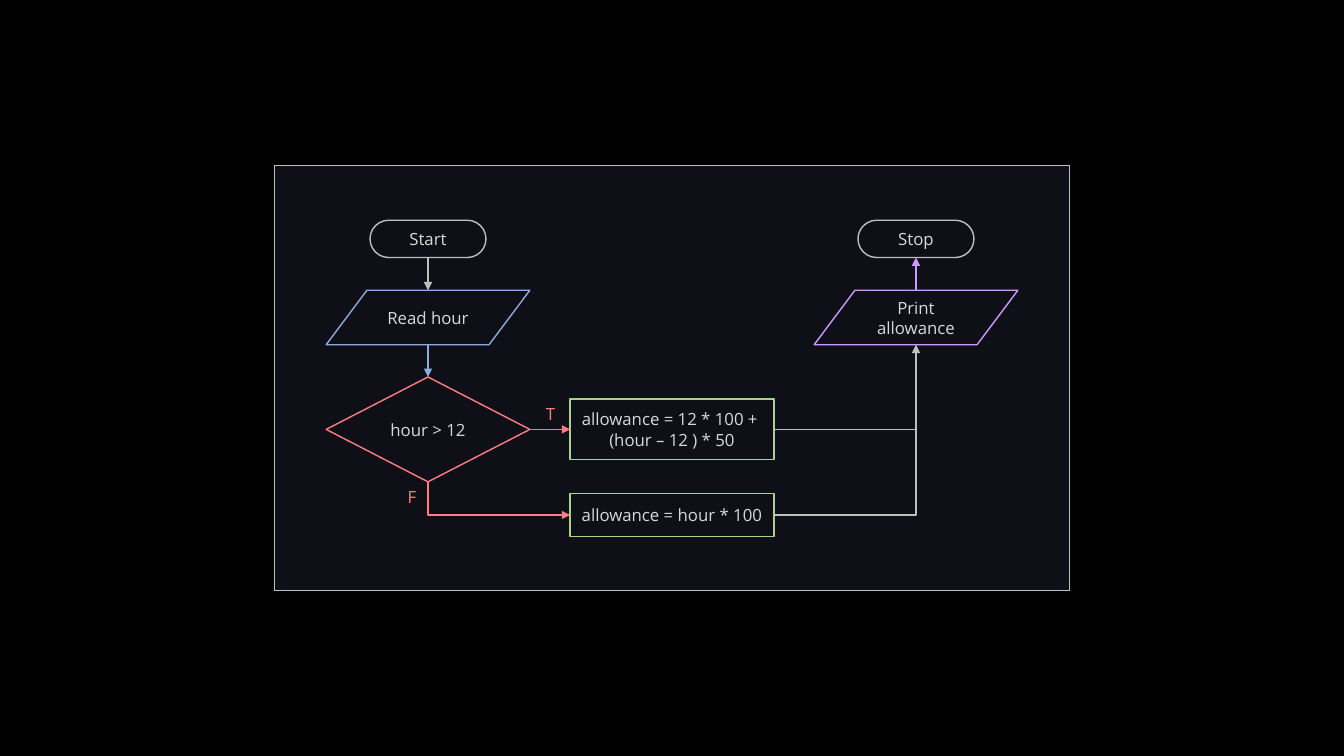
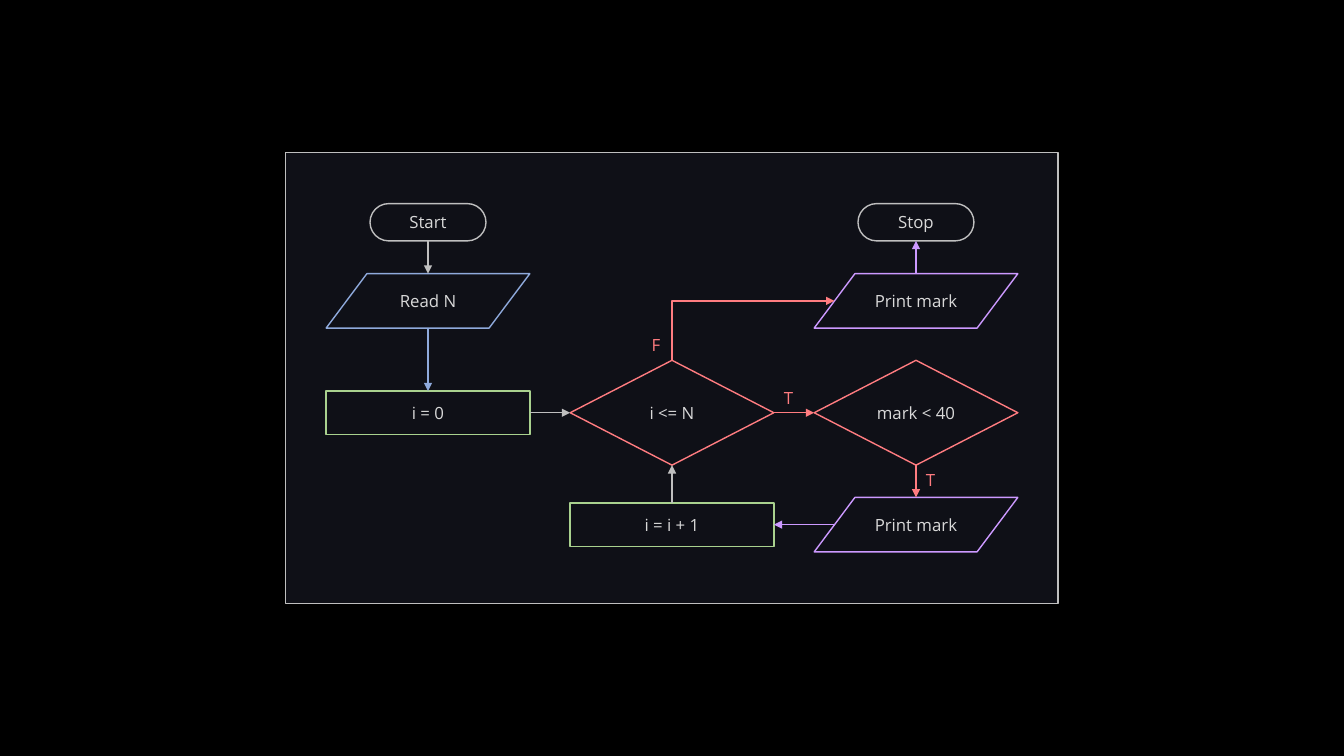
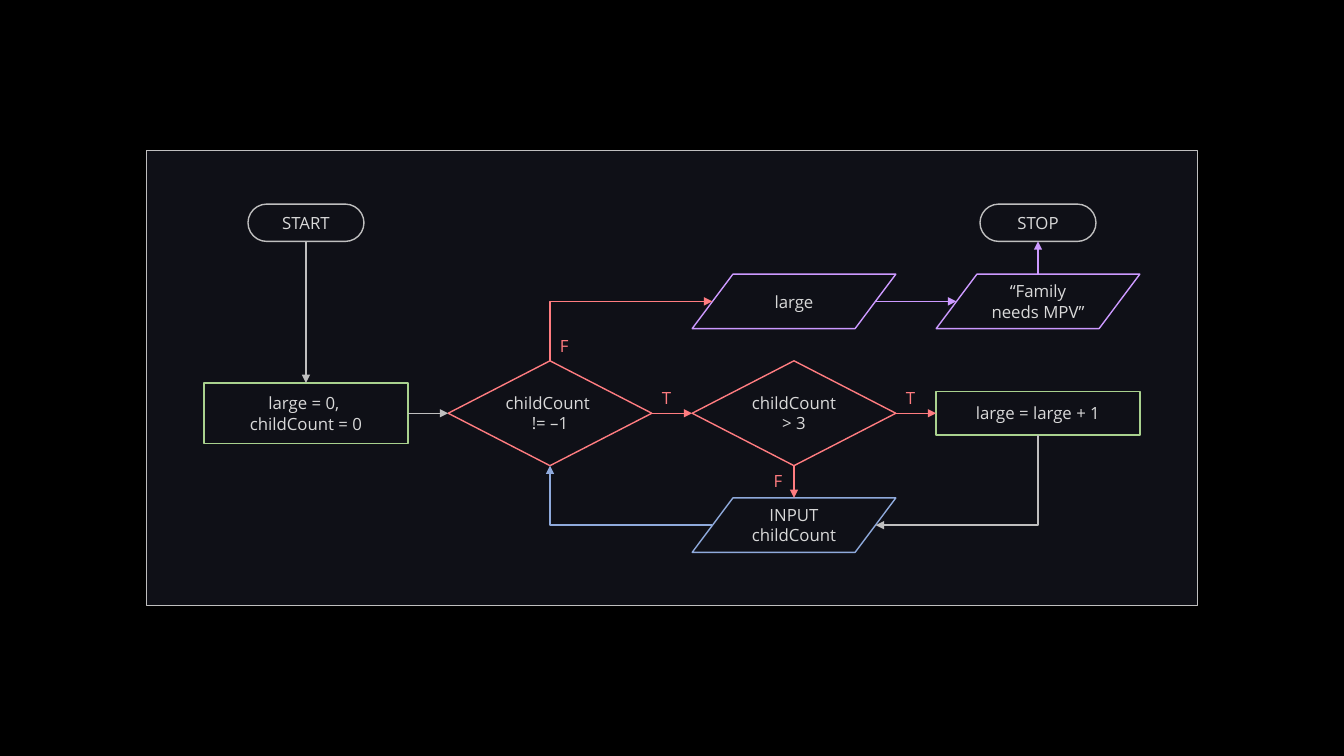
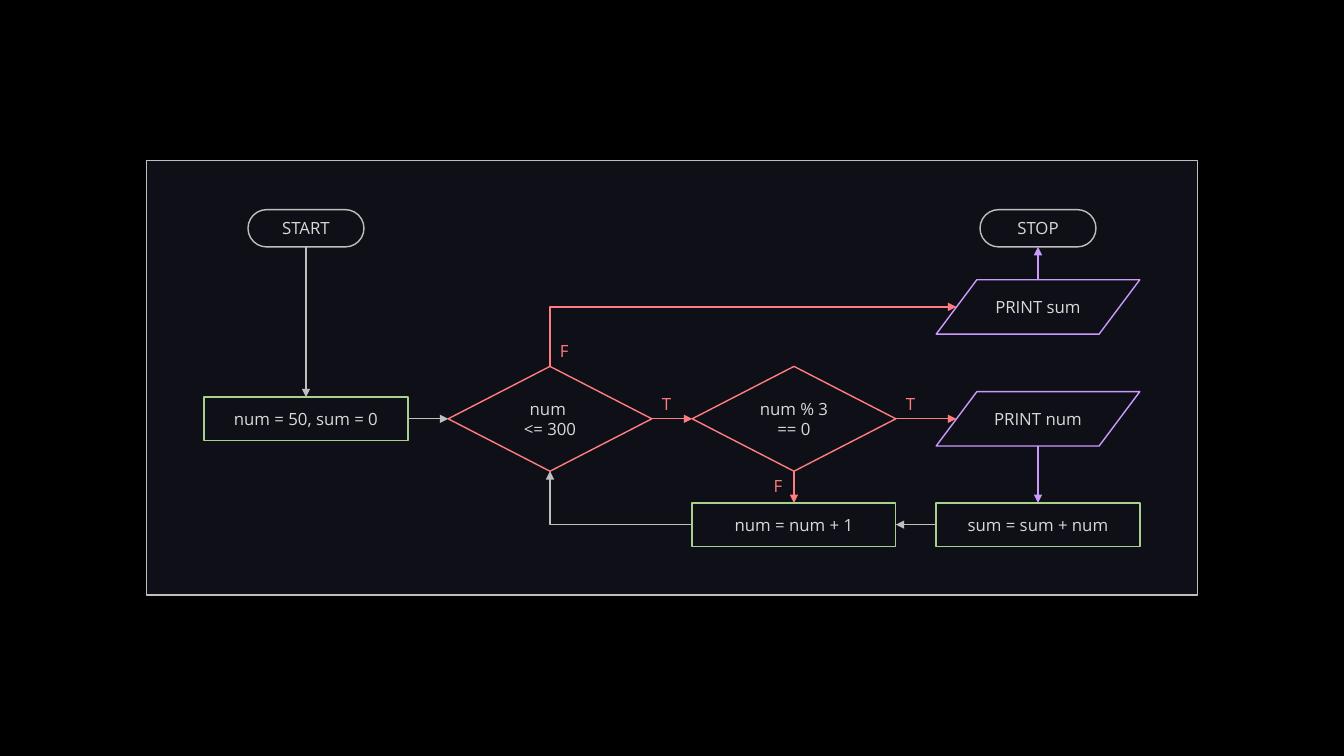
from collections import namedtuple
from dataclasses import dataclass

from lxml import etree
from pptx import Presentation, util as u
from pptx.dml.color import RGBColor
from pptx.enum import shapes, text
from pptx.oxml import ns

BLACK = RGBColor(0x00, 0x00, 0x00)
NAVY = RGBColor(0x0F, 0x10, 0x17)
GREY = RGBColor(0xBF, 0xBF, 0xBF)
PALE = RGBColor(0xD9, 0xD9, 0xD9)
PURPLE = RGBColor(0xCC, 0x99, 0xFF)
BLUE = RGBColor(0x8F, 0xAA, 0xDC)
RED = RGBColor(0xFF, 0x7C, 0x80)
GREEN = RGBColor(0xA9, 0xD1, 0x8E)

SLIDE_W, SLIDE_H = 13.33, 7.5
FONT, FONT_SIZE = "Open Sans", 12
COLUMN_PITCH = 2.42
ROWS = (0, 0.78, 1.89)
LABEL_W, LABEL_H = 0.29, 0.3
QUARTER_TURN = "5400000"

Kind = namedtuple("Kind", "preset width height outline arrow inset")
PRESET = shapes.MSO_SHAPE
TERMINAL = Kind(PRESET.FLOWCHART_TERMINATOR, 1.15, 0.37, GREY, GREY, 0)
INPUT = Kind(PRESET.FLOWCHART_DATA, 2.02, 0.54, BLUE, BLUE, 0.2)
OUTPUT = INPUT._replace(outline=PURPLE, arrow=PURPLE)
PROCESS = Kind(PRESET.RECTANGLE, 2.02, 0.43, GREEN, GREY, 0)
TALL_PROCESS = PROCESS._replace(height=0.6)
DECISION = Kind(PRESET.FLOWCHART_DECISION, 2.02, 1.04, RED, RED, 0)


@dataclass
class Node:
    """One flowchart step, held by its centre."""
    kind: Kind
    x: float
    y: float

    def port(self, side):
        """Return the point where arrows meet the given side."""
        across = self.kind.width / 2 - self.kind.inset
        down = self.kind.height / 2
        dx, dy = {"left": (-across, 0), "right": (across, 0),
                  "top": (0, -down), "bottom": (0, down)}[side]
        return self.x + dx, self.y + dy


def write(frame, words, colour, align):
    """Fill a text frame and format all of its runs."""
    frame.text = words
    for para in frame.paragraphs:
        para.alignment = align
        for span in para.runs:
            span.font.name = FONT
            span.font.size = u.Pt(FONT_SIZE)
            span.font.color.rgb = colour


def add_outlined(page, preset, x, y, width, height, outline, fill=None):
    """Add a thin-lined preset shape centred on a point."""
    shape = page.shapes.add_shape(
        preset, u.Inches(x - width / 2), u.Inches(y - height / 2),
        u.Inches(width), u.Inches(height))
    shape.shadow.inherit = False
    if fill is None:
        shape.fill.background()
    else:
        shape.fill.solid()
        shape.fill.fore_color.rgb = fill
    shape.line.color.rgb = outline
    shape.line.width = u.Pt(1)
    return shape


def add_note(page, left, top, width, height, words, colour, align):
    """Add an unwrapped text box."""
    box = page.shapes.add_textbox(u.Inches(left), u.Inches(top),
                                  u.Inches(width), u.Inches(height))
    box.text_frame.word_wrap = False
    box.text_frame.auto_size = text.MSO_AUTO_SIZE.SHAPE_TO_FIT_TEXT
    write(box.text_frame, words, colour, align)


def add_line(page, start, end, colour, upright=False, arrow=True):
    """Join two points by a straight line or one right-angled bend."""
    (x1, y1), (x2, y2) = start, end
    bent = abs(x1 - x2) > 0.01 and abs(y1 - y2) > 0.01
    turned = bent and upright
    if turned:
        mid_x, mid_y = (x1 + x2) / 2, (y1 + y2) / 2
        half_w, half_h = (y2 - y1) / 2, (x1 - x2) / 2
        x1, x2 = mid_x - half_w, mid_x + half_w
        y1, y2 = mid_y - half_h, mid_y + half_h
    style = shapes.MSO_CONNECTOR.ELBOW if bent else shapes.MSO_CONNECTOR.STRAIGHT
    line = page.shapes.add_connector(
        style, u.Inches(x1), u.Inches(y1), u.Inches(x2), u.Inches(y2))
    line.line.color.rgb = colour
    line.line.width = u.Pt(1)
    props = line._element.spPr
    if bent:
        props.find(ns.qn("a:prstGeom")).set("prst", "bentConnector2")
    if turned:
        props.find(ns.qn("a:xfrm")).set("rot", QUARTER_TURN)
    if arrow:
        etree.SubElement(props.find(ns.qn("a:ln")), ns.qn("a:tailEnd"),
                         type="triangle")
    etree.SubElement(props, ns.qn("a:effectLst"))


class Flowchart:
    """A centred panel whose steps sit on a grid of columns and rows."""

    def __init__(self, deck, columns, width, height, first_row, last_row):
        """Draw the panel and work out the grid centres."""
        self.page = deck.slides.add_slide(deck.slide_layouts[6])
        mid_x, mid_y = SLIDE_W / 2, SLIDE_H / 2
        add_outlined(self.page, PRESET.RECTANGLE, mid_x, mid_y,
                     width, height, GREY, NAVY)
        top = mid_y - height / 2 + first_row
        self.columns = [mid_x + (i - (columns - 1) / 2) * COLUMN_PITCH
                        for i in range(columns)]
        self.rows = [top + offset for offset in (*ROWS, last_row)]

    def step(self, kind, column, row, words, overlay_width=None):
        """Place a step; an overlay carries words too wide for its shape."""
        node = Node(kind, self.columns[column], self.rows[row])
        shape = add_outlined(self.page, kind.preset, node.x, node.y,
                             kind.width, kind.height, kind.outline)
        if overlay_width:
            add_note(self.page, node.x - overlay_width / 2, node.y - 0.25,
                     overlay_width, 0.5, words, PALE, text.PP_ALIGN.CENTER)
        else:
            shape.text_frame.vertical_anchor = text.MSO_ANCHOR.MIDDLE
            write(shape.text_frame, words, PALE, text.PP_ALIGN.CENTER)
        return node

    def link(self, source, side, target, target_side):
        """Draw an arrow between the sides of two steps."""
        add_line(self.page, source.port(side), target.port(target_side),
                 source.kind.arrow, upright=side in ("top", "bottom"))

    def label(self, node, side, words, shift=0):
        """Name the branch that leaves a decision."""
        x, y = node.port(side)
        top = y if side == "bottom" else y - LABEL_H
        add_note(self.page, x + shift, top, LABEL_W, LABEL_H, words, RED,
                 text.PP_ALIGN.LEFT)


def draw_allowance(deck):
    """Draw the allowance flowchart with two branches."""
    chart = Flowchart(deck, 3, 7.89, 4.22, 0.73, 2.74)
    start = chart.step(TERMINAL, 0, 0, "Start")
    stop = chart.step(TERMINAL, 2, 0, "Stop")
    read = chart.step(INPUT, 0, 1, "Read hour")
    show = chart.step(OUTPUT, 2, 1, "Print allowance")
    check = chart.step(DECISION, 0, 2, "hour > 12")
    overtime = chart.step(TALL_PROCESS, 1, 2,
                          "allowance = 12 * 100 + \n(hour – 12 ) * 50")
    regular = chart.step(PROCESS, 1, 3, "allowance = hour * 100")
    chart.link(start, "bottom", read, "top")
    chart.link(read, "bottom", check, "top")
    chart.link(check, "right", overtime, "left")
    chart.link(check, "bottom", regular, "left")
    chart.link(regular, "right", show, "bottom")
    chart.link(show, "top", stop, "bottom")
    add_line(chart.page, overtime.port("right"), (show.x, overtime.y), GREY,
             arrow=False)
    chart.label(check, "right", "T", 0.06)
    chart.label(check, "bottom", "F", -LABEL_H)


def draw_marks(deck):
    """Draw the loop that prints low marks."""
    chart = Flowchart(deck, 3, 7.66, 4.47, 0.69, 3)
    start = chart.step(TERMINAL, 0, 0, "Start")
    stop = chart.step(TERMINAL, 2, 0, "Stop")
    read = chart.step(INPUT, 0, 1, "Read N")
    final = chart.step(OUTPUT, 2, 1, "Print mark")
    reset = chart.step(PROCESS, 0, 2, "i = 0")
    loop = chart.step(DECISION, 1, 2, "i <= N")
    check = chart.step(DECISION, 2, 2, "mark < 40")
    advance = chart.step(PROCESS, 1, 3, "i = i + 1")
    show = chart.step(OUTPUT, 2, 3, "Print mark")
    chart.link(start, "bottom", read, "top")
    chart.link(read, "bottom", reset, "top")
    chart.link(reset, "right", loop, "left")
    chart.link(loop, "right", check, "left")
    chart.link(loop, "top", final, "left")
    chart.link(check, "bottom", show, "top")
    chart.link(show, "left", advance, "right")
    chart.link(advance, "top", loop, "bottom")
    chart.link(final, "top", stop, "bottom")
    chart.label(loop, "right", "T")
    chart.label(loop, "top", "F", -LABEL_H)
    chart.label(check, "bottom", "T")


def draw_families(deck):
    """Draw the loop that counts large families."""
    chart = Flowchart(deck, 4, 10.42, 4.52, 0.72, 3)
    start = chart.step(TERMINAL, 0, 0, "START")
    stop = chart.step(TERMINAL, 3, 0, "STOP")
    total = chart.step(OUTPUT, 2, 1, "large")
    advice = chart.step(OUTPUT, 3, 1, "“Family needs MPV”")
    reset = chart.step(TALL_PROCESS, 0, 2, "large = 0, \nchildCount = 0")
    loop = chart.step(DECISION, 1, 2, "childCount \n!= –1", 1.09)
    check = chart.step(DECISION, 2, 2, "childCount\n> 3", 1.05)
    count = chart.step(PROCESS, 3, 2, "large = large + 1")
    ask = chart.step(INPUT, 2, 3, "INPUT childCount")
    chart.link(start, "bottom", reset, "top")
    chart.link(reset, "right", loop, "left")
    chart.link(loop, "right", check, "left")
    chart.link(loop, "top", total, "left")
    chart.link(check, "right", count, "left")
    chart.link(check, "bottom", ask, "top")
    chart.link(count, "bottom", ask, "right")
    chart.link(ask, "left", loop, "bottom")
    chart.link(total, "right", advice, "left")
    chart.link(advice, "top", stop, "bottom")
    chart.label(loop, "right", "T")
    chart.label(loop, "top", "F")
    chart.label(check, "right", "T")
    chart.label(check, "bottom", "F", -LABEL_H)


def draw_multiples(deck):
    """Draw the loop that sums the multiples of three."""
    chart = Flowchart(deck, 4, 10.42, 4.31, 0.67, 2.94)
    start = chart.step(TERMINAL, 0, 0, "START")
    stop = chart.step(TERMINAL, 3, 0, "STOP")
    total = chart.step(OUTPUT, 3, 1, "PRINT sum")
    reset = chart.step(PROCESS, 0, 2, "num = 50, sum = 0")
    loop = chart.step(DECISION, 1, 2, "num \n<= 300")
    check = chart.step(DECISION, 2, 2, "num % 3\n== 0")
    show = chart.step(OUTPUT, 3, 2, "PRINT num")
    advance = chart.step(PROCESS, 2, 3, "num = num + 1")
    add = chart.step(PROCESS, 3, 3, "sum = sum + num")
    chart.link(start, "bottom", reset, "top")
    chart.link(reset, "right", loop, "left")
    chart.link(loop, "right", check, "left")
    chart.link(loop, "top", total, "left")
    chart.link(check, "right", show, "left")
    chart.link(check, "bottom", advance, "top")
    chart.link(show, "bottom", add, "top")
    chart.link(add, "left", advance, "right")
    chart.link(advance, "left", loop, "bottom")
    chart.link(total, "top", stop, "bottom")
    chart.label(loop, "right", "T")
    chart.label(loop, "top", "F")
    chart.label(check, "right", "T")
    chart.label(check, "bottom", "F", -LABEL_H)


def main():
    """Build and save the deck."""
    deck = Presentation()
    deck.slide_width, deck.slide_height = u.Inches(SLIDE_W), u.Inches(SLIDE_H)
    backdrop = deck.slide_master.background.fill
    backdrop.solid()
    backdrop.fore_color.rgb = BLACK
    for draw in (draw_allowance, draw_marks, draw_families, draw_multiples):
        draw(deck)
    deck.save("out.pptx")


main()
